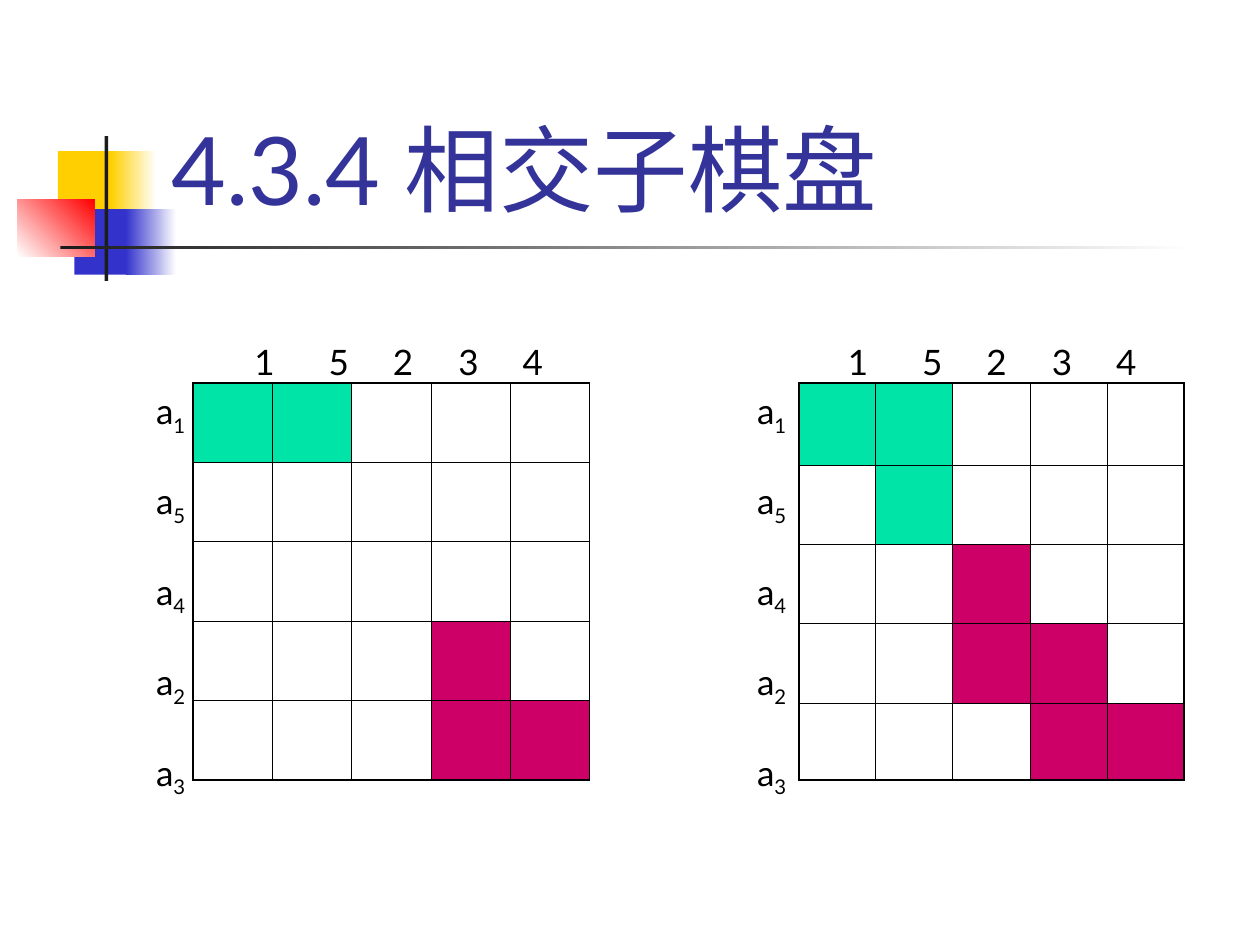
"""Build the slide on intersecting sub-chessboards."""
from lxml.etree import SubElement
from pptx import Presentation
from pptx.dml.color import RGBColor
from pptx.enum.shapes import MSO_SHAPE
from pptx.enum.text import MSO_ANCHOR, MSO_AUTO_SIZE, PP_ALIGN
from pptx.oxml.ns import qn
from pptx.util import Inches, Pt

HUES = {
    "title": "333399", "ink": "000000", "bar": "1C1C1C", "white": "FFFFFF",
    "gold": "FFCF01", "blue": "3333CC", "red": "FF0000",
    "G": "00E4A8", "P": "CC0066",
}
FONT = "Lato"
TOP = 3.04
TABS = [0.59, 1.1, 1.62, 2.13]
COLS = "15234"
ROWS = "15423"
DECOR = [
    (0.46, 1.2, 0.48, 0.52, ["gold"], 0),
    (0.88, 1.2, 0.36, 0.52, ["gold", "white"], 0),
    (0.59, 1.66, 0.46, 0.52, ["blue"], 0),
    (1, 1.66, 0.4, 0.52, ["blue", "white"], 0),
    (0.14, 1.58, 0.61, 0.46, ["white", "red"], 45),
    (0.83, 1.08, 0.03, 1.15, ["bar"], 0),
    (0.48, 1.95, 9, 0.03, ["bar", "white"], 0),
]
BOARDS = [
    (1.53, 1.14, 1.92, [0.63] * 5, [0.63] * 5,
     ["GG...", ".....", ".....", "...P.", "...PP"]),
    (6.34, 5.91, 6.63, [0.61, 0.61, 0.62, 0.61, 0.61],
     [0.65, 0.63, 0.63, 0.63, 0.61],
     ["GG...", ".G...", "..P..", "..PP.", "...PP"]),
]


def tint(name):
    return RGBColor.from_string(HUES[name])


def add_run(para, text, size, hue):
    run = para.add_run()
    run.text = text
    run.font.size = Pt(size)
    run.font.name = FONT
    run.font.color.rgb = tint(hue)
    return run


def add_block(slide, box, hues, angle):
    shape = slide.shapes.add_shape(MSO_SHAPE.RECTANGLE, *map(Inches, box))
    shape.shadow.inherit = False
    shape.line.fill.background()
    if len(hues) == 1:
        shape.fill.solid()
        shape.fill.fore_color.rgb = tint(hues[0])
        return
    shape.fill.gradient()
    shape.fill.gradient_angle = angle
    for stop, hue in zip(shape.fill.gradient_stops, hues):
        stop.color.rgb = tint(hue)


def add_title(slide, text):
    title = slide.shapes.title
    title.left, title.top = Inches(1.26), Inches(0.23)
    title.width, title.height = Inches(8.52), Inches(1.6)
    frame = title.text_frame
    frame.auto_size = MSO_AUTO_SIZE.NONE
    frame.vertical_anchor = MSO_ANCHOR.BOTTOM
    para = frame.paragraphs[0]
    para.alignment = PP_ALIGN.LEFT
    add_run(para, text, 54, "title")
    slide.shapes.element.append(title.element)


def add_box(slide, *box):
    return slide.shapes.add_textbox(*map(Inches, box)).text_frame


def add_heads(slide, left):
    frame = add_box(slide, left, 2.65, 2.51, 0.44)
    frame.word_wrap = True
    para = frame.paragraphs[0]
    stops = SubElement(para._p.get_or_add_pPr(), qn("a:tabLst"))
    for pos in TABS:
        SubElement(stops, qn("a:tab"), pos=str(Inches(pos)), algn="l")
    add_run(para, "\t".join(COLS), 20, "ink")


def add_sides(slide, left):
    frame = add_box(slide, left, TOP, 0.45, 3.33)
    frame.word_wrap = False
    for i, digit in enumerate(ROWS):
        para = frame.add_paragraph() if i else frame.paragraphs[0]
        if i:
            para.space_before = Pt(24.4)
        add_run(para, "a", 20, "ink")
        sub = add_run(para, digit, 20, "ink")
        sub.font._element.set("baseline", "-25000")


def set_edges(cell, edges):
    props = cell._tc.get_or_add_tcPr()
    for side in "LRTB":
        width = Pt(1.08 if side in edges else 0.45)
        line = SubElement(props, qn("a:ln" + side), w=str(width))
        fill = SubElement(line, qn("a:solidFill"))
        SubElement(fill, qn("a:srgbClr"), val=HUES["ink"])


def add_board(slide, left, cols, rows, marks):
    size = len(cols)
    table = slide.shapes.add_table(
        size, size, Inches(left), Inches(TOP),
        Inches(sum(cols)), Inches(sum(rows))).table
    table.first_row = table.horz_banding = False
    for col, width in zip(table.columns, cols):
        col.width = Inches(width)
    for row, height in zip(table.rows, rows):
        row.height = Inches(height)
    last = size - 1
    for y, line in enumerate(marks):
        for x, mark in enumerate(line):
            cell = table.cell(y, x)
            edges = {0: "L", last: "R"}.get(x, "") + {0: "T", last: "B"}.get(y, "")
            set_edges(cell, edges)
            if mark in HUES:
                cell.fill.solid()
                cell.fill.fore_color.rgb = tint(mark)
            else:
                cell.fill.background()


def main():
    deck = Presentation()
    deck.slide_width, deck.slide_height = Inches(10), Inches(7.5)
    slide = deck.slides.add_slide(deck.slide_layouts[5])
    for *box, hues, angle in DECOR:
        add_block(slide, box, hues, angle)
    add_title(slide, "4.3.4 相交子棋盘")
    for left, side, head, cols, rows, marks in BOARDS:
        add_board(slide, left, cols, rows, marks)
        add_heads(slide, head)
        add_sides(slide, side)
    deck.save("out.pptx")


if __name__ == "__main__":
    main()
